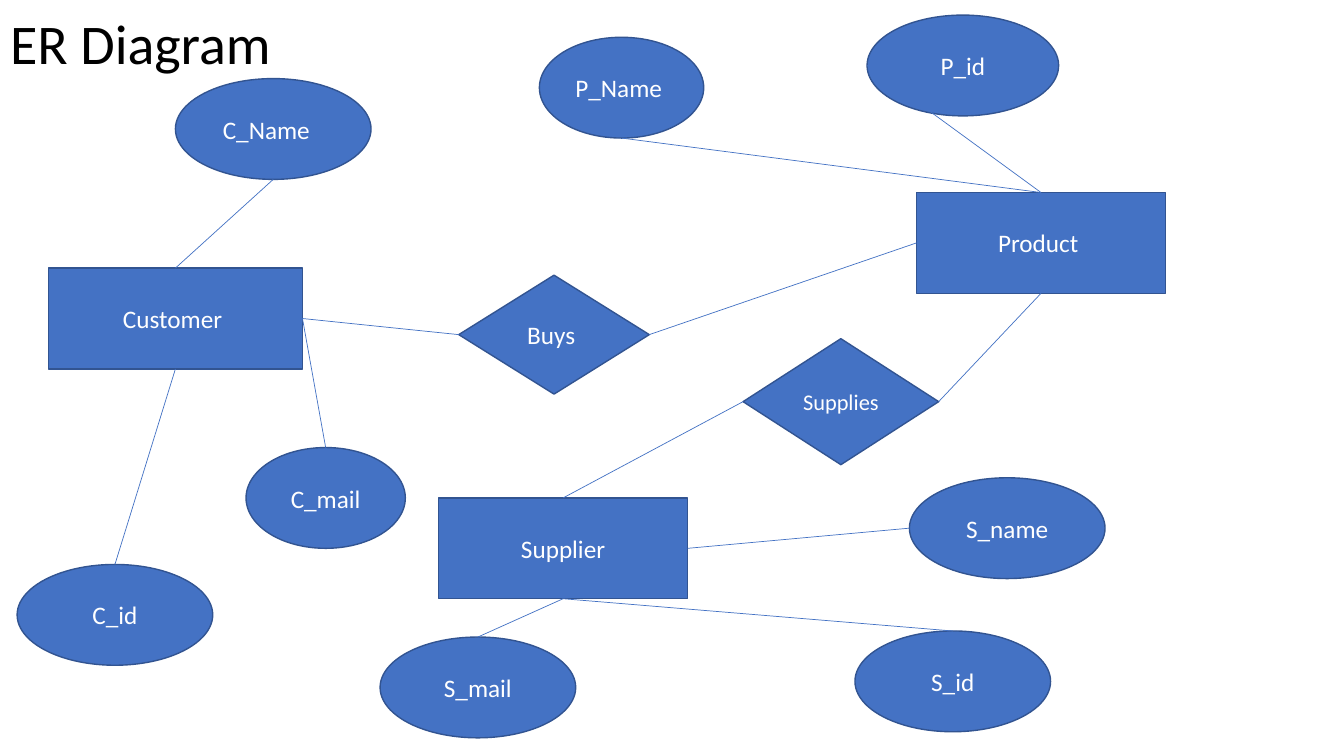
from dataclasses import dataclass

from lxml import etree
from pptx import Presentation
from pptx.dml.color import RGBColor
from pptx.enum.shapes import MSO_CONNECTOR, MSO_SHAPE
from pptx.enum.text import MSO_ANCHOR, MSO_AUTO_SIZE, PP_ALIGN
from pptx.oxml.ns import qn
from pptx.util import Inches, Pt

ENTITY = MSO_SHAPE.RECTANGLE
ATTRIBUTE = MSO_SHAPE.OVAL
RELATION = MSO_SHAPE.FLOWCHART_DECISION
STRAIGHT = MSO_CONNECTOR.STRAIGHT
LEFT, CENTER = PP_ALIGN.LEFT, PP_ALIGN.CENTER
TOP, MIDDLE = MSO_ANCHOR.TOP, MSO_ANCHOR.MIDDLE
NO_AUTOFIT = MSO_AUTO_SIZE.NONE

COLORS = {"fill": "4472C4", "outline": "325491", "light": "FFFFFF", "dark": "000000"}

# Side of a node as a fraction of its width and height
SIDES = {"top": (0.5, 0), "bottom": (0.5, 1), "left": (0, 0.5), "right": (1, 0.5)}


@dataclass
class Node:
    label: str
    kind: int
    left: float
    top: float
    width: float = 1.94
    height: float = 1.0
    size: int = 18

    def side(self, name: str) -> tuple:
        across, down = SIDES[name]
        return Inches(self.left + across * self.width), Inches(self.top + down * self.height)


@dataclass
class Link:
    start: str
    start_side: str
    end: str
    end_side: str


NODES = {
    "buys": Node("Buys ", RELATION, 4.55, 2.73, 1.89, 1.18),
    "supplies": Node("Supplies ", RELATION, 7.37, 3.36, height=1.25, size=16),
    "customer": Node("Customer ", ENTITY, 0.48, 2.66, 2.52),
    "product": Node("Product ", ENTITY, 9.09, 1.91, 2.47),
    "supplier": Node("Supplier", ENTITY, 4.35, 4.94, 2.47),
    "c_id": Node("C_id", ATTRIBUTE, 0.17, 5.6),
    "c_mail": Node("C_mail", ATTRIBUTE, 2.44, 4.44, 1.58),
    "c_name": Node("C_Name\t", ATTRIBUTE, 1.74, 0.78),
    "p_name": Node("P_Name ", ATTRIBUTE, 5.35, 0.37, 1.63),
    "p_id": Node("P_id", ATTRIBUTE, 8.6, 0.15, 1.9),
    "s_name": Node("S_name", ATTRIBUTE, 9.02, 4.74),
    "s_id": Node("S_id", ATTRIBUTE, 8.48, 6.26),
    "s_mail": Node("S_mail", ATTRIBUTE, 3.77, 6.32),
}

LINKS = [
    Link("c_name", "bottom", "customer", "top"),
    Link("customer", "bottom", "c_id", "top"),
    Link("customer", "right", "c_mail", "top"),
    Link("customer", "right", "buys", "left"),
    Link("product", "left", "buys", "right"),
    Link("p_name", "bottom", "product", "top"),
    Link("p_id", "left", "product", "top"),
    Link("supplier", "right", "s_name", "left"),
    Link("supplier", "bottom", "s_id", "top"),
    Link("supplier", "bottom", "s_mail", "top"),
    Link("supplier", "top", "supplies", "left"),
    Link("supplies", "right", "product", "bottom"),
]


def rgb(name: str) -> RGBColor:
    return RGBColor.from_string(COLORS[name])


def write_text(shape, text: str, size: int, color: str, align, anchor) -> None:
    frame = shape.text_frame
    frame_format = {"word_wrap": True, "auto_size": NO_AUTOFIT, "vertical_anchor": anchor}
    for name, value in frame_format.items():
        setattr(frame, name, value)
    para = frame.paragraphs[0]
    para.alignment = align
    span = para.add_run()
    span.text = text
    for name, value in {"name": "Calibri", "size": Pt(size)}.items():
        setattr(span.font, name, value)
    span.font.color.rgb = rgb(color)


def draw_node(page, node: Node) -> None:
    bounds = [Inches(length) for length in (node.left, node.top, node.width, node.height)]
    box = page.shapes.add_shape(node.kind, *bounds)
    box.shadow.inherit = False
    box.fill.solid()
    box.fill.fore_color.rgb = rgb("fill")
    box.line.color.rgb = rgb("outline")
    box.line.width = Pt(1)
    write_text(box, node.label, node.size, "light", CENTER, MIDDLE)


def draw_link(page, link: Link) -> None:
    start = NODES[link.start].side(link.start_side)
    end = NODES[link.end].side(link.end_side)
    connector = page.shapes.add_connector(STRAIGHT, *start, *end)
    connector.line.color.rgb = rgb("fill")
    connector.line.width = Pt(0.5)
    etree.SubElement(connector._element.spPr, qn("a:effectLst"))


deck = Presentation()
deck.slide_width, deck.slide_height = Inches(13.33), Inches(7.5)
page = deck.slides.add_slide(deck.slide_layouts[5])

# Title
title = page.shapes.title
title_place = {"left": 0, "top": 0.03, "width": 3.58, "height": 1.45}
for name, value in title_place.items():
    setattr(title, name, Inches(value))
write_text(title, "ER Diagram ", 40, "dark", LEFT, TOP)

# Entities, relations and attributes
for node in NODES.values():
    draw_node(page, node)

# Links between them
for link in LINKS:
    draw_link(page, link)

deck.save("out.pptx")
